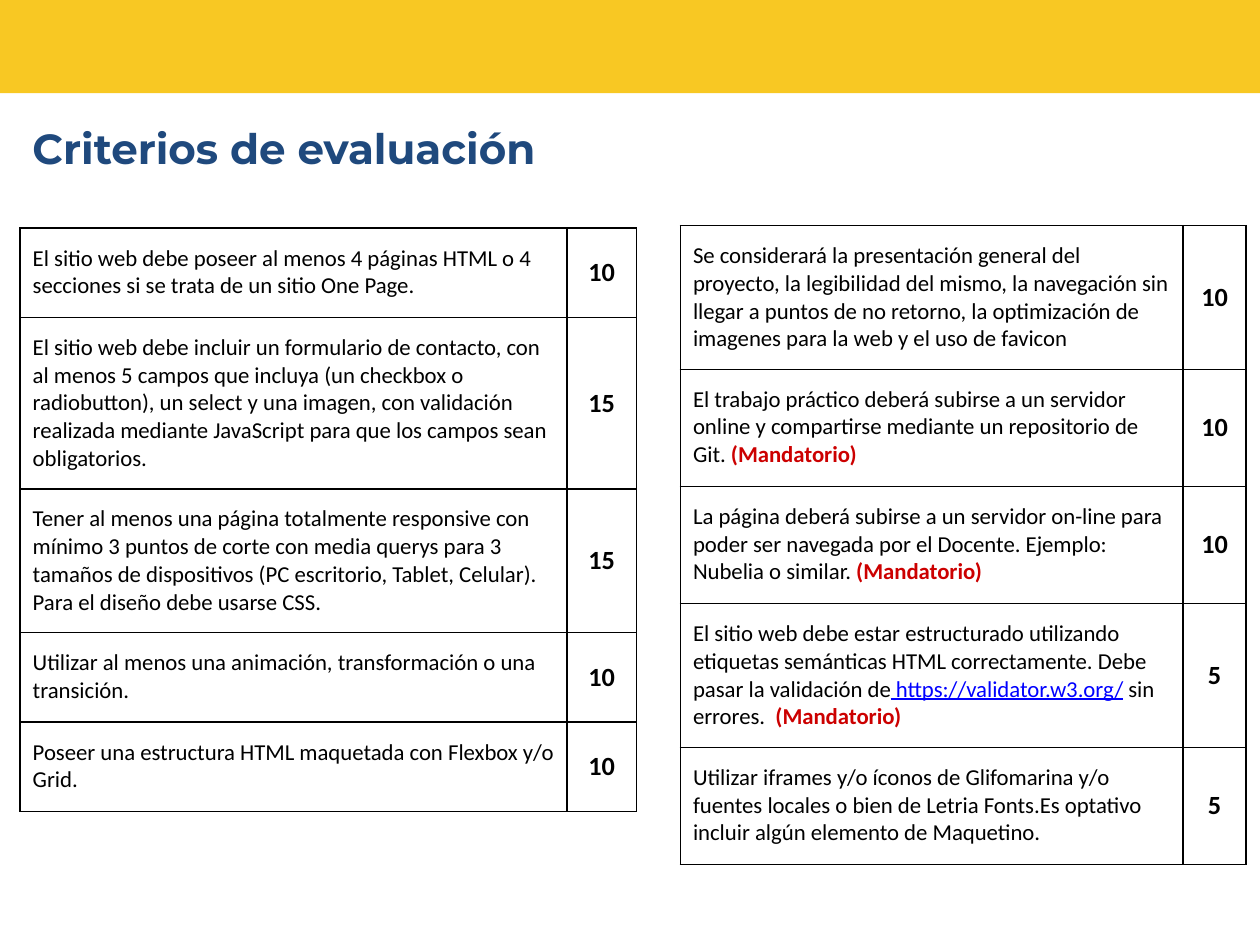
from dataclasses import dataclass

import lxml.etree
import pptx
import pptx.dml.color
import pptx.enum.shapes
import pptx.enum.text
import pptx.oxml.ns
import pptx.util

Inches = pptx.util.Inches
Pt = pptx.util.Pt
qn = pptx.oxml.ns.qn

YELLOW = "F8C823"
NAVY = "1F497D"
BLACK = "000000"
RED = "CC0000"
BLUE = "0000FF"


@dataclass(frozen=True)
class Span:
    text: str
    color: str = BLACK
    bold: bool = False
    underline: bool = False
    size: float = 13
    font: str = "Calibri"


@dataclass(frozen=True)
class Criterion:
    spans: tuple[Span, ...]
    points: int
    height: float


@dataclass(frozen=True)
class CriteriaTable:
    left: float
    top: float
    widths: tuple[float, float]
    criteria: tuple[Criterion, ...]


MANDATORY = Span("(Mandatorio)", RED, bold=True)

TABLES = (
    CriteriaTable(0.16, 1.81, (4.34, 0.55), (
        Criterion((Span("El sitio web debe poseer al menos 4 páginas HTML o 4 secciones si se "
                        "trata de un sitio One Page."),), 10, 0.71),
        Criterion((Span("El sitio web debe incluir un formulario de contacto, con al menos 5 "
                        "campos que incluya (un checkbox o radiobutton), un select y una imagen, "
                        "con validación realizada mediante JavaScript para que los campos sean "
                        "obligatorios."),), 15, 1.36),
        Criterion((Span("Tener al menos una página totalmente responsive con mínimo 3 puntos de "
                        "corte con media querys para 3 tamaños de dispositivos (PC escritorio, "
                        "Tablet, Celular). Para el diseño debe usarse CSS."),), 15, 1.14),
        Criterion((Span("Utilizar al menos una animación, transformación o una "
                        "transición."),), 10, 0.71),
        Criterion((Span("Poseer una estructura HTML maquetada con Flexbox y/o "
                        "Grid."),), 10, 0.71),
    )),
    CriteriaTable(5.4, 1.79, (3.99, 0.5), (
        Criterion((Span("Se considerará la presentación general del proyecto, la legibilidad del "
                        "mismo, la navegación sin llegar a puntos de no retorno, la optimización "
                        "de imagenes para la web y el uso de favicon"),), 10, 1.14),
        Criterion((Span("El trabajo práctico deberá subirse a un servidor online y compartirse "
                        "mediante un repositorio de Git. "), MANDATORY), 10, 0.93),
        Criterion((Span("La página deberá subirse a un servidor on-line para poder ser navegada "
                        "por el Docente. Ejemplo: Nubelia o similar. "), MANDATORY), 10, 0.93),
        Criterion((Span("El sitio web debe estar estructurado utilizando etiquetas semánticas "
                        "HTML correctamente. Debe pasar la validación de"),
                   Span(" https://validator.w3.org/", BLUE, underline=True),
                   Span(" sin errores.  "), MANDATORY), 5, 1.14),
        Criterion((Span("Utilizar iframes y/o íconos de Glifomarina y/o fuentes locales o bien "
                        "de Letria Fonts.Es optativo incluir algún elemento de "
                        "Maquetino."),), 5, 0.93),
    )),
)


def rgb(value: str) -> pptx.dml.color.RGBColor:
    return pptx.dml.color.RGBColor.from_string(value)


def write_spans(para, spans: tuple[Span, ...]) -> None:
    for span in spans:
        run = para.add_run()
        run.text = span.text
        run.font.name = span.font
        run.font.size = Pt(span.size)
        run.font.bold = span.bold
        run.font.underline = span.underline
        run.font.color.rgb = rgb(span.color)


def add_borders(cell) -> None:
    properties = cell._tc.get_or_add_tcPr()
    for position, side in enumerate(("lnL", "lnR", "lnT", "lnB")):
        line = lxml.etree.Element(qn(f"a:{side}"), w=str(Pt(1)))
        fill = lxml.etree.SubElement(line, qn("a:solidFill"))
        lxml.etree.SubElement(fill, qn("a:srgbClr"), val=BLACK)
        properties.insert(position, line)


def fill_cell(cell, spans: tuple[Span, ...]) -> None:
    cell.margin_left = cell.margin_right = Inches(0.1)
    cell.margin_top = cell.margin_bottom = Inches(0.13)
    cell.fill.background()
    add_borders(cell)
    write_spans(cell.text_frame.paragraphs[0], spans)


def add_criteria_table(page, layout: CriteriaTable) -> None:
    height = sum(criterion.height for criterion in layout.criteria)
    table = page.shapes.add_table(
        len(layout.criteria), len(layout.widths), Inches(layout.left), Inches(layout.top),
        Inches(sum(layout.widths)), Inches(height)).table
    table.first_row = False
    table.horz_banding = False
    for column, width in zip(table.columns, layout.widths):
        column.width = Inches(width)
    for index, criterion in enumerate(layout.criteria):
        table.rows[index].height = Inches(criterion.height)
        fill_cell(table.cell(index, 0), criterion.spans)
        points = table.cell(index, 1)
        fill_cell(points, (Span(str(criterion.points), bold=True, size=15),))
        points.vertical_anchor = pptx.enum.text.MSO_ANCHOR.MIDDLE
        points.text_frame.paragraphs[0].alignment = pptx.enum.text.PP_ALIGN.CENTER


def add_banner(page) -> None:
    banner = page.shapes.add_shape(
        pptx.enum.shapes.MSO_SHAPE.RECTANGLE,
        Inches(-0.01), Inches(-0.07), Inches(10.03), Inches(0.81))
    banner.shadow.inherit = False
    banner.fill.solid()
    banner.fill.fore_color.rgb = rgb(YELLOW)
    banner.line.fill.background()


def add_title(page) -> None:
    box = page.shapes.add_textbox(Inches(0.16), Inches(0.87), Inches(5.4), Inches(0.61))
    frame = box.text_frame
    frame.word_wrap = True
    frame.auto_size = pptx.enum.text.MSO_AUTO_SIZE.SHAPE_TO_FIT_TEXT
    frame.margin_left = frame.margin_right = Inches(0.1)
    frame.margin_top = frame.margin_bottom = Inches(0.1)
    title = Span("Criterios de evaluación", NAVY, bold=True, size=24, font="Montserrat")
    write_spans(frame.paragraphs[0], (title,))


def main() -> None:
    deck = pptx.Presentation()
    deck.slide_width = Inches(10)
    deck.slide_height = Inches(7.5)
    page = deck.slides.add_slide(deck.slide_layouts[6])
    add_banner(page)
    for layout in TABLES:
        add_criteria_table(page, layout)
    add_title(page)
    deck.save("out.pptx")


if __name__ == "__main__":
    main()
